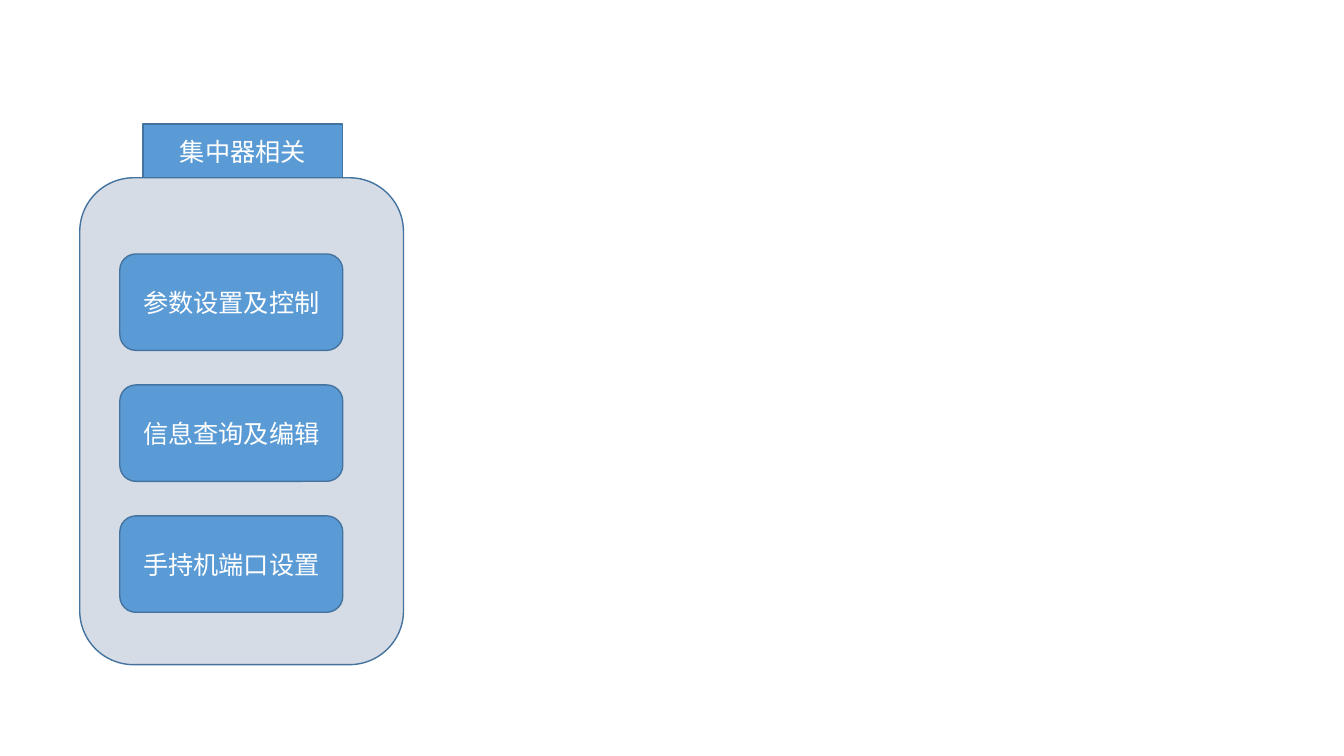
from dataclasses import dataclass

from lxml.etree import SubElement
from pptx import Presentation
from pptx.dml.color import RGBColor
from pptx.enum.shapes import MSO_SHAPE
from pptx.enum.text import MSO_ANCHOR, PP_ALIGN
from pptx.oxml.ns import qn
from pptx.slide import Slide
from pptx.util import Cm, Pt

BLUE = RGBColor(0x5B, 0x9B, 0xD5)
EDGE = RGBColor(0x43, 0x73, 0x9E)
GREY = RGBColor(0xD6, 0xDC, 0xE5)
WHITE = RGBColor(0xFF, 0xFF, 0xFF)
FACE = "Noto Sans CJK SC"
STYLE = {"size": Pt(18), "name": FACE}
FRAME = {"word_wrap": True, "vertical_anchor": MSO_ANCHOR.MIDDLE}
ITEMS = ["参数设置及控制", "信息查询及编辑", "手持机端口设置"]
TOP, STEP = 6.4, 3.3


@dataclass
class Box:
    left: float
    top: float
    width: float
    height: float
    text: str = ""
    fill: RGBColor = BLUE
    kind: MSO_SHAPE = MSO_SHAPE.ROUNDED_RECTANGLE


def draw_box(slide: Slide, box: Box) -> None:
    shape = slide.shapes.add_shape(
        box.kind, Cm(box.left), Cm(box.top), Cm(box.width), Cm(box.height)
    )
    shape.shadow.inherit = False
    shape.fill.solid()
    shape.fill.fore_color.rgb = box.fill
    shape.line.color.rgb = EDGE
    shape.line.width = Pt(1)
    if box.text:
        frame = shape.text_frame
        for key, value in FRAME.items():
            setattr(frame, key, value)
        para = frame.paragraphs[0]
        para.alignment = PP_ALIGN.CENTER
        run = para.add_run()
        run.text = box.text
        for key, value in STYLE.items():
            setattr(run.font, key, value)
        run.font.color.rgb = WHITE
        SubElement(run.font._element, qn("a:ea"), typeface=FACE)


def main() -> None:
    deck = Presentation()
    deck.slide_width, deck.slide_height = Cm(33.87), Cm(19.05)
    slide = deck.slides.add_slide(deck.slide_layouts[6])
    panel = Box(2.01, 4.48, 8.16, 12.27, fill=GREY)
    title = Box(3.6, 3.13, 5.04, 1.35, "集中器相关", kind=MSO_SHAPE.RECTANGLE)
    cards = [
        Box(3.02, TOP + row * STEP, 5.62, 2.43, text)
        for row, text in enumerate(ITEMS)
    ]
    for box in [panel, title, *cards]:
        draw_box(slide, box)
    deck.save("out.pptx")


if __name__ == "__main__":
    main()
